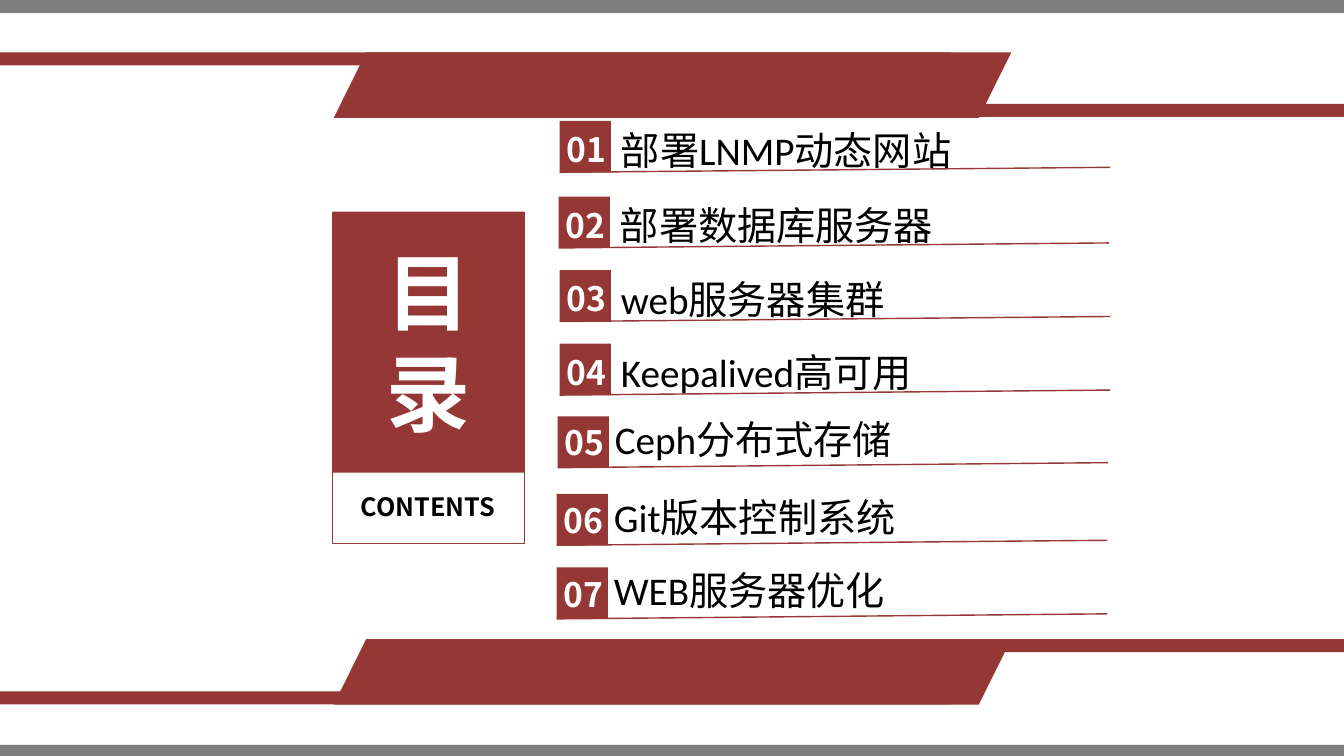
from dataclasses import dataclass

from lxml import etree
from pptx import Presentation
from pptx.dml.color import RGBColor
from pptx.enum.shapes import MSO_CONNECTOR, MSO_SHAPE
from pptx.enum.text import PP_ALIGN
from pptx.oxml.ns import qn
from pptx.slide import Slide
from pptx.util import Inches, Pt

RECT = MSO_SHAPE.RECTANGLE
PARALLELOGRAM = MSO_SHAPE.PARALLELOGRAM
STRAIGHT = MSO_CONNECTOR.STRAIGHT
LEFT, CENTER = PP_ALIGN.LEFT, PP_ALIGN.CENTER

COLORS = {"red": "953734", "gray": "7F7F7F", "white": "FFFFFF", "black": "000000"}
LATIN, CJK = "Calibri", "Noto Sans CJK SC"
SLIDE_W, SLIDE_H = 13.33, 7.5
STRIPE_H = 0.13
BADGE = 0.51


@dataclass(frozen=True)
class Box:
    left: float
    top: float
    width: float
    height: float

    def lengths(self) -> tuple[int, ...]:
        return tuple(Inches(v) for v in (self.left, self.top, self.width, self.height))


@dataclass(frozen=True)
class TextStyle:
    size: int
    color: str
    font: str = CJK
    bold: bool = True
    align: PP_ALIGN = CENTER


@dataclass(frozen=True)
class RowLayout:
    label_dx: float
    label_dy: float
    number_dy: float


@dataclass(frozen=True)
class Entry:
    label: str
    left: float
    top: float
    layout: RowLayout


UPPER = RowLayout(0.51, 0, 0.03)
LOWER = RowLayout(0.47, -0.06, 0.01)

NUMBER = TextStyle(24, "white")
LABEL = TextStyle(28, "black", LATIN, False, LEFT)
TITLE = TextStyle(60, "white")
SUBTITLE = TextStyle(18, "black")

ENTRIES = [
    Entry("部署LNMP动态网站", 5.55, 1.2, UPPER),
    Entry("部署数据库服务器", 5.54, 1.95, UPPER),
    Entry("web服务器集群", 5.55, 2.68, UPPER),
    Entry("Keepalived高可用", 5.55, 3.41, UPPER),
    Entry("Ceph分布式存储", 5.53, 4.13, LOWER),
    Entry("Git版本控制系统", 5.52, 4.9, LOWER),
    Entry("WEB服务器优化", 5.52, 5.63, LOWER),
]

STRIPES = [
    (Box(0, 0, SLIDE_W, STRIPE_H), "gray"),
    (Box(0, 7.39, SLIDE_W, STRIPE_H), "gray"),
    (Box(0, 0.52, 9.43, STRIPE_H), "red"),
    (Box(3.9, 1.03, 9.43, STRIPE_H), "red"),
    (Box(4.6, 6.34, 8.73, STRIPE_H), "red"),
    (Box(0, 6.86, 9.43, STRIPE_H), "red"),
]
BANNERS = [Box(3.31, top, 6.72, 0.65) for top in (0.52, 6.34)]


def rgb(name: str) -> RGBColor:
    return RGBColor.from_string(COLORS[name])


def add_filled(s: Slide, kind: MSO_SHAPE, box: Box, color: str) -> None:
    sp = s.shapes.add_shape(kind, *box.lengths())
    sp.shadow.inherit = False
    sp.fill.solid()
    sp.fill.fore_color.rgb = rgb(color)
    sp.line.fill.background()
    if kind == PARALLELOGRAM:
        sp.adjustments[0] = 0.496


def add_frame(s: Slide, box: Box) -> None:
    sp = s.shapes.add_shape(RECT, *box.lengths())
    sp.shadow.inherit = False
    sp.fill.background()
    sp.line.color.rgb = rgb("red")
    sp.line.width = Pt(1)


def add_text(s: Slide, box: Box, text: str, style: TextStyle) -> None:
    tf = s.shapes.add_textbox(*box.lengths()).text_frame
    tf.word_wrap = True
    tf.text = text
    p = tf.paragraphs[0]
    p.alignment = style.align
    r = p.runs[0]
    r.font.name = style.font
    r.font.size = Pt(style.size)
    r.font.bold = style.bold
    r.font.color.rgb = rgb(style.color)
    etree.SubElement(r.font._element, qn("a:ea")).set("typeface", CJK)


def add_rule(s: Slide, left: float, top: float) -> None:
    ends = (left, top, left + 5.46, top - 0.05)
    line = s.shapes.add_connector(STRAIGHT, *(Inches(v) for v in ends))
    line.line.color.rgb = rgb("red")
    line.line.width = Pt(1)
    etree.SubElement(line._element.spPr, qn("a:effectLst"))


def add_entry(s: Slide, index: int, entry: Entry) -> None:
    left, top, layout = entry.left, entry.top, entry.layout
    add_filled(s, RECT, Box(left, top, BADGE, BADGE), "red")
    add_rule(s, left, top + BADGE)
    label_box = Box(left + layout.label_dx, top + layout.label_dy, 5.22, 0.57)
    add_text(s, label_box, entry.label, LABEL)
    number_box = Box(left - 0.3, top + layout.number_dy, 1.13, 0.53)
    add_text(s, number_box, f"{index:02d}", NUMBER)


def main() -> None:
    prs = Presentation()
    prs.slide_width, prs.slide_height = Inches(SLIDE_W), Inches(SLIDE_H)
    s = prs.slides.add_slide(prs.slide_layouts[6])

    for box, color in STRIPES:
        add_filled(s, RECT, box, color)
    for box in BANNERS:
        add_filled(s, PARALLELOGRAM, box, "red")

    add_frame(s, Box(3.3, 2.11, 1.9, 3.28))
    add_text(s, Box(3.33, 4.83, 1.83, 0.4), "CONTENTS", SUBTITLE)
    add_filled(s, RECT, Box(3.3, 2.1, 1.9, 2.59), "red")
    add_text(s, Box(3.49, 2.34, 1.52, 2.12), "目录", TITLE)

    for index, entry in enumerate(ENTRIES, 1):
        add_entry(s, index, entry)

    prs.save("out.pptx")


if __name__ == "__main__":
    main()
